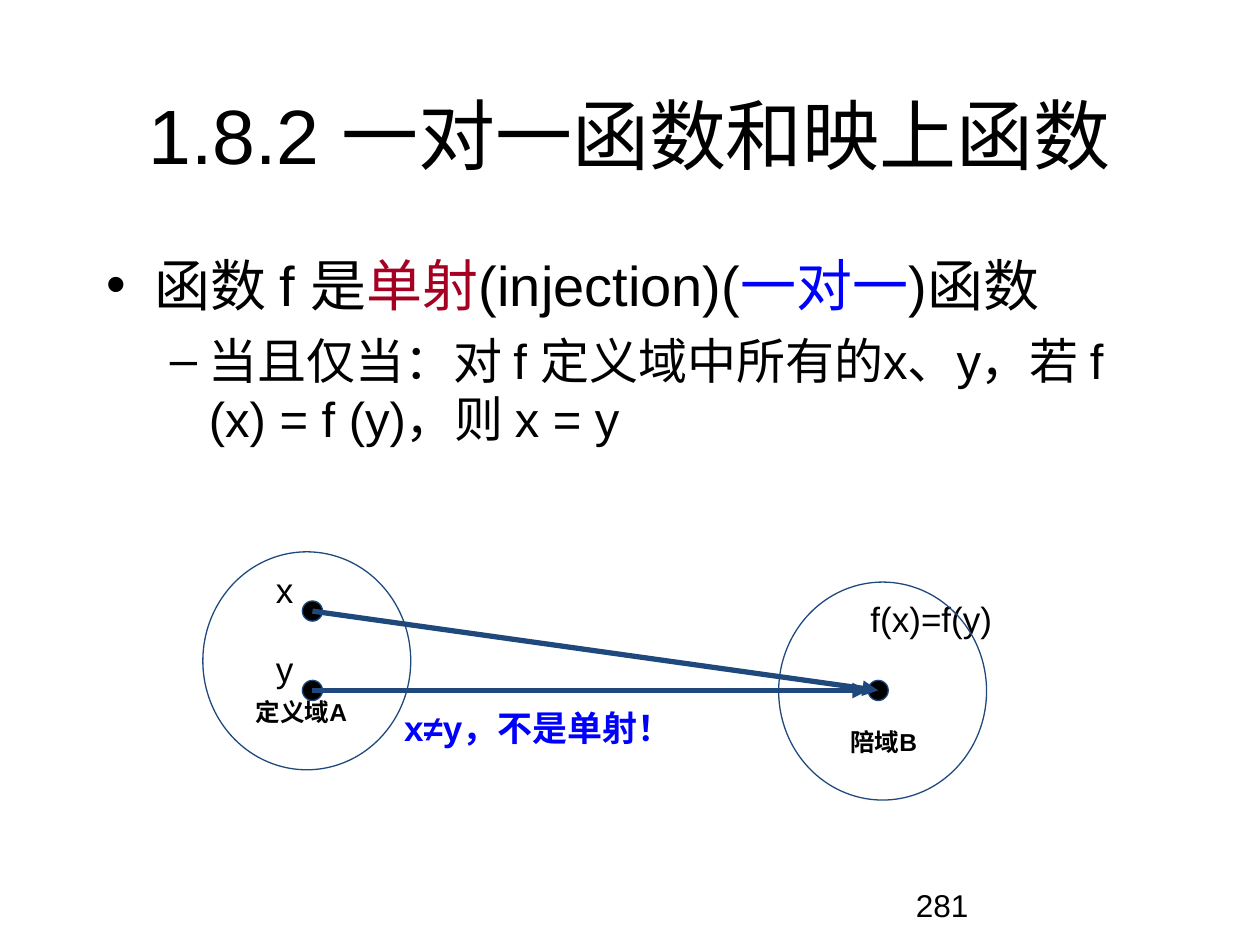
import pptx
import pptx.util
import pptx.dml.color
import pptx.enum.shapes
import pptx.enum.text
import pptx.oxml
import pptx.oxml.ns
from pptx.util import Inches

COLORS = {"text": "000000", "line": "1F497D", "key": "A50021", "note": "0000FF"}
FONT = "Arial"
DOT = 0.16


def color(name):
    return pptx.dml.color.RGBColor.from_string(COLORS[name])


def set_font(font, size, name="text", bold=False):
    font.name = FONT
    font.size = pptx.util.Pt(size)
    font.bold = bold
    font.color.rgb = color(name)


def add_xml(parent, tag, **attributes):
    element = pptx.oxml.parse_xml(f"<a:{tag} {pptx.oxml.ns.nsdecls('a')}/>")
    for key, value in attributes.items():
        element.set(key, value)
    parent.append(element)


def add_label(shapes, left, top, width, height, text, size=20, name="text", bold=False):
    frame = shapes.add_textbox(Inches(left), Inches(top), Inches(width), Inches(height)).text_frame
    frame.word_wrap = False
    para = frame.paragraphs[0]
    para.text = text
    set_font(para.font, size, name, bold)


def add_title(page, left, top, width, height):
    title = page.shapes.title
    title.left, title.top = Inches(left), Inches(top)
    title.width, title.height = Inches(width), Inches(height)
    title.text_frame.vertical_anchor = pptx.enum.text.MSO_ANCHOR.MIDDLE
    para = title.text_frame.paragraphs[0]
    para.text = "1.8.2 一对一函数和映上函数"
    para.alignment = pptx.enum.text.PP_ALIGN.CENTER
    set_font(para.font, 44)


def add_bullet(para, char, margin, hanging, size, spans):
    properties = para._p.get_or_add_pPr()
    properties.set("marL", str(Inches(margin)))
    properties.set("indent", str(-Inches(hanging)))
    add_xml(properties, "buFont", typeface=FONT)
    add_xml(properties, "buChar", char=char)
    set_font(para.font, size)
    for text, name in spans:
        span = para.add_run()
        span.text = text
        span.font.color.rgb = color(name)


def add_definition(page, left, top, width, height):
    box = page.shapes.add_textbox(Inches(left), Inches(top), Inches(width), Inches(height))
    frame = box.text_frame
    frame.word_wrap = True
    add_bullet(frame.paragraphs[0], "•", 0.38, 0.38, 32, [
        ("函数 f 是", "text"), ("单射", "key"), ("(injection)(", "text"),
        ("一对一", "note"), (")函数", "text")])
    para = frame.add_paragraph()
    para.level = 1
    para.space_before = pptx.util.Pt(7)
    add_bullet(para, "–", 0.81, 0.31, 28, [
        ("当且仅当：对 f 定义域中所有的x、y，若 f (x) = f (y)，则 x = y", "text")])


def add_ellipse(shapes, left, top, width, height, filled=False):
    shape = shapes.add_shape(pptx.enum.shapes.MSO_SHAPE.OVAL, Inches(left), Inches(top),
                             Inches(width), Inches(height))
    shape.shadow.inherit = False
    if filled:
        shape.fill.solid()
        shape.fill.fore_color.rgb = color("text")
    else:
        shape.fill.background()
    shape.line.color.rgb = color("line")
    shape.line.width = pptx.util.Pt(0.75)


def add_arrow(shapes, start, end):
    arrow = shapes.add_connector(pptx.enum.shapes.MSO_CONNECTOR.STRAIGHT,
                                 *map(Inches, start), *map(Inches, end))
    arrow.line.color.rgb = color("line")
    arrow.line.width = pptx.util.Pt(3)
    add_xml(arrow.line._get_or_add_ln(), "tailEnd", type="triangle")
    add_xml(arrow._element.spPr, "effectLst")


def add_mapping(page, left, top, width, height):
    set_width, set_height = 1.65, 1.73
    right, low = left + width - set_width, top + height - set_height
    x_point = (left + 0.87, top + 0.47)
    y_point = (left + 0.87, top + 1.1)
    image = (left + 5.36, top + 1.1)

    # Element names and remark
    add_label(page.shapes, left + 1.5, top + 1.18, 2.6, 0.55, "x≠y，不是单射！", name="note", bold=True)
    add_label(page.shapes, left + 5.2, top + 0.31, 1.18, 0.55, "f(x)=f(y)")
    add_label(page.shapes, left + 0.48, top + 0.08, 0.32, 0.55, "x")
    add_label(page.shapes, left + 0.48, top + 0.71, 0.39, 0.55, "y")

    # Sets, elements and arrows
    shapes = page.shapes.add_group_shape().shapes
    add_ellipse(shapes, right, low, set_width, set_height)
    for x, y in (x_point, y_point, image):
        add_ellipse(shapes, x - DOT / 2, y - DOT / 2, DOT, DOT, filled=True)
    add_arrow(shapes, x_point, image)
    add_arrow(shapes, y_point, (image[0] - DOT / 2, image[1]))
    add_ellipse(shapes, left, top, set_width, set_height)

    # Set names
    add_label(shapes, right + 0.47, low + 1.1, 0.79, 0.47, "陪域B", 14, bold=True)
    add_label(shapes, left + 0.32, top + 1.1, 1.02, 0.47, "定义域A", 14, bold=True)


def main():
    deck = pptx.Presentation()
    deck.slide_width, deck.slide_height = Inches(10), Inches(7.5)
    page = deck.slides.add_slide(deck.slide_layouts[5])
    add_title(page, 0.75, 0.44, 8.5, 1.25)
    add_definition(page, 0.75, 1.94, 8.5, 4.88)
    add_mapping(page, 1.61, 4.38, 6.22, 1.97)

    # Page number, left aligned in a wrapping box
    number = page.shapes.add_textbox(Inches(7.17), Inches(6.98), Inches(2.08), Inches(0.27))
    number.text_frame.word_wrap = True
    para = number.text_frame.paragraphs[0]
    para.text = "281"
    set_font(para.font, 18)
    deck.save("out.pptx")


if __name__ == "__main__":
    main()
